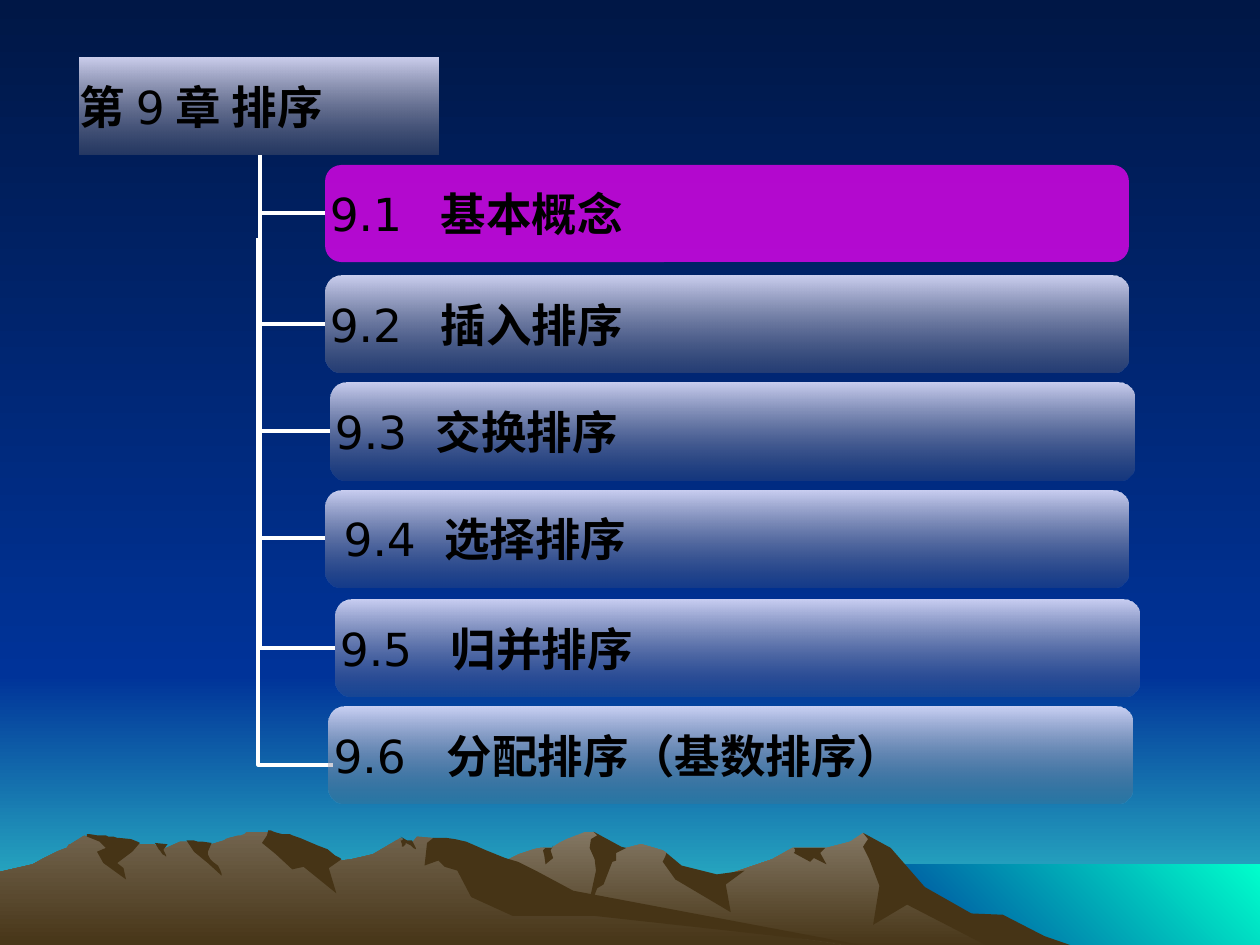
from lxml.etree import SubElement
from pptx import Presentation
from pptx.dml.color import RGBColor
from pptx.enum.shapes import MSO_CONNECTOR as Connector, MSO_SHAPE as Shape
from pptx.enum.text import MSO_ANCHOR as Anchor, MSO_AUTO_SIZE as AutoSize, PP_ALIGN as Align
from pptx.oxml.ns import qn
from pptx.util import Pt

PX = 9144  # EMU per px, 100 px to the inch
TITLE_ONLY = 5

NIGHT, BLUE, TURQUOISE, MINT = "001746", "003399", "33CCCC", "00FFCC"
ROCK, PALE_ROCK, DARK_ROCK = "72644E", "837763", "463416"

FAR_RANGE = """802,741 778,728 763,725 723,699 701,673 685,661 675,668 656,673 629,673 613,682
    566,698 536,691 529,677 526,675 509,670 497,673 485,675 474,662 471,660 465,660 450,666
    448,667 444,669 438,673 432,673 429,673 424,674 418,676 412,678 404,682 399,684 395,686
    394,687 355,699 327,711 277,740 258,753 821,753"""
FAR_SHADOWS = [
    """796,726 771,725 734,704 707,673 685,661 689,666 685,672 690,682 698,703 693,734 720,718
    788,753 858,753 829,743""",
    """471,660 474,663 469,666 468,673 472,682 473,691 465,728 474,705 479,702 486,684 489,683
    489,677 497,673 493,672""",
    "529,677 528,680 526,684 536,698 580,724 576,702 591,691 569,694 541,687",
    "649,673 630,673 631,674 631,676 630,677 643,684 646,681 656,686 651,677 655,673",
    "432,679 431,675 433,673 431,673 433,673 436,673 438,673 439,671 437,675 439,681 433,686",
]
NEAR_RANGE = """690,753 689,753 667,750 432,714 354,666 331,664 327,669 323,669 318,665 296,678
    279,682 271,683 259,678 235,682 223,664 222,663 219,662 215,661 212,660 207,660 202,660
    198,660 196,660 195,661 194,662 191,663 189,663 186,664 182,665 179,666 178,667 168,670
    160,673 148,668 143,668 132,673 127,673 122,670 111,670 94,673 67,663 56,670 55,670
    53,673 50,674 45,676 35,681 26,686 13,689 0,692 0,753 175,753 647,753"""
NEAR_SHADOWS = [
    """212,663 208,669 219,678 232,690 241,688 267,709 261,689 271,682 270,681 266,679 260,674
    252,671 245,668 238,665 232,663 230,662 226,662 224,662 220,661 217,660 215,659 213,659""",
    """370,668 361,666 354,665 344,665 339,669 337,687 348,683 353,688 363,691 374,712 407,727
    472,727 690,751 683,750 455,707 427,692 411,684 401,681 386,675""",
    """318,667 319,667 320,666 319,665 318,664 323,667 327,667 328,669 329,671 330,673 330,674
    328,673 326,671 322,669 322,670 321,671 320,672 319,672 319,670""",
    """154,667 157,668 161,668 168,669 165,676 165,678 166,680 167,682 169,684 173,687 175,691
    176,694 176,695 165,685 154,676 148,667""",
    "133,670 130,674 130,675 131,677 132,679 132,680 131,679 129,678 127,675 126,674 123,669",
    """109,668 111,669 105,676 93,685 98,689 100,698 82,685 77,676 84,673 79,668 69,664 69,662
    70,662 71,662 77,663 82,663 84,663 86,664 90,664 93,665 94,665 104,666""",
]

STRONG, FAINT = (90, 35), (89, 19)  # opacity at the top and bottom of a box
# left, top, opacities (None marks the current section), text inset, tab stop, number, name
SECTIONS = [
    (258, 131, None, 0, 88, "9.1", "基本概念"),
    (258, 219, STRONG, 0, 88, "9.2", "插入排序"),
    (262, 304, FAINT, 0, 80, "9.3", "交换排序"),
    (258, 389, FAINT, 11, 80, "9.4", "选择排序"),
    (266, 476, FAINT, 0, 88, "9.5", "归并排序"),
    (261, 561, FAINT, 0, 90, "9.6", "分配排序（基数排序）"),
]


def rgb(color):
    return RGBColor.from_string(color)


def fill_gradient(fill, start, end, angle=90):
    """Blend two colours; the angle runs clockwise from left-to-right."""
    fill.gradient()
    fill.gradient_angle = 360 - angle
    for stop, color in zip(fill.gradient_stops, (start, end)):
        stop.color.rgb = rgb(color)


def set_opacity(shape, *percentages):
    """Give each fill colour of the shape its opacity, in order."""
    for color, percentage in zip(shape._element.spPr.iter(qn("a:srgbClr")), percentages):
        SubElement(color, qn("a:alpha"), val=str(percentage * 1000))


class SlideBuilder:
    latin_font = "DejaVu Sans"
    chinese_font = "Noto Sans CJK SC"
    text_size = Pt(26)
    text_color = "000000"
    line_color = "FFFFFF"
    line_width = Pt(2.25)

    def __init__(self, slide):
        self.slide = slide
        self.shapes = slide.shapes

    def paint(self, shape, colors, angle=90):
        """Fill with one colour or a pair, without outline or shadow."""
        shape.shadow.inherit = False
        shape.line.fill.background()
        if isinstance(colors, str):
            shape.fill.solid()
            shape.fill.fore_color.rgb = rgb(colors)
        else:
            fill_gradient(shape.fill, *colors, angle)

    def panel(self, left, top, width, height, colors, angle=90, kind=Shape.RECTANGLE):
        box = [length * PX for length in (left, top, width, height)]
        shape = self.shapes.add_shape(kind, *box)
        self.paint(shape, colors, angle)
        return shape

    def outline(self, points, colors):
        first, *rest = [tuple(map(int, point.split(","))) for point in points.split()]
        builder = self.shapes.build_freeform(*first, scale=PX)
        builder.add_line_segments(rest, close=True)
        self.paint(builder.convert_to_shape(), colors)

    def branch(self, left, top, right, bottom):
        """Draw an L: down the left edge, then along the bottom."""
        ends = [length * PX for length in (left, top, right, bottom)]
        connector = self.shapes.add_connector(Connector.ELBOW, *ends)
        connector.line.color.rgb = rgb(self.line_color)
        connector.line.width = self.line_width
        properties = connector._element.spPr
        properties.find(qn("a:prstGeom")).set("prst", "bentConnector2")
        properties.find(qn("a:xfrm")).set("rot", "10800000")
        SubElement(properties, qn("a:effectLst"))

    def set_text(self, shape, runs, inset=0, tab=None):
        """Set (text, is_chinese) runs; Chinese is bold."""
        frame = shape.text_frame
        frame.auto_size = AutoSize.NONE
        frame.word_wrap = True
        frame.vertical_anchor = Anchor.MIDDLE
        frame.margin_left = inset * PX
        frame.margin_top = frame.margin_right = frame.margin_bottom = 0
        paragraph = frame.paragraphs[0]
        paragraph.alignment = Align.LEFT
        if tab:
            tabs = SubElement(paragraph._p.get_or_add_pPr(), qn("a:tabLst"))
            SubElement(tabs, qn("a:tab"), pos=str(tab * PX), algn="l")
        for text, is_chinese in runs:
            run = paragraph.add_run()
            run.text = text
            font = run.font
            font.size, font.bold = self.text_size, is_chinese
            font.color.rgb = rgb(self.text_color)
            font.name = self.chinese_font if is_chinese else self.latin_font
            SubElement(run._r.get_or_add_rPr(), qn("a:ea"), typeface=self.chinese_font)

    def title(self, left, top, width, height, runs):
        shape = self.shapes.title
        self.shapes._spTree.append(shape._element)  # in front of the landscape
        shape.left, shape.top = left * PX, top * PX
        shape.width, shape.height = width * PX, height * PX
        geometry = SubElement(shape._element.spPr, qn("a:prstGeom"), prst="roundRect")
        SubElement(geometry, qn("a:avLst"))
        self.paint(shape, ("E3E3FF", "686875"))
        set_opacity(shape, *STRONG)
        self.set_text(shape, runs)

    def section(self, left, top, opacities, inset, tab, number, name):
        colors = ("E3E3FF", "686875") if opacities else "FF00FF"
        shape = self.panel(left, top, 638, 77, colors, kind=Shape.ROUNDED_RECTANGLE)
        set_opacity(shape, *(opacities or (70,)))
        self.set_text(shape, [(number + "\t", False), (name, True)], inset, tab)

    def landscape(self):
        fill_gradient(self.slide.background.fill, NIGHT, BLUE)
        self.panel(0, 536, 1000, 214, (BLUE, TURQUOISE))
        self.panel(0, 2, 1000, 534, (NIGHT, BLUE))
        self.panel(683, 686, 317, 66, (MINT, BLUE), angle=135)
        ranges = [(FAR_RANGE, PALE_ROCK, FAR_SHADOWS), (NEAR_RANGE, ROCK, NEAR_SHADOWS)]
        for mountains, color, shadows in ranges:
            self.outline(mountains, (color, DARK_ROCK))
            for shadow in shadows:
                self.outline(shadow, DARK_ROCK)


def main():
    presentation = Presentation()
    presentation.slide_width, presentation.slide_height = 1000 * PX, 750 * PX
    slide = presentation.slides.add_slide(presentation.slide_layouts[TITLE_ONLY])
    builder = SlideBuilder(slide)
    builder.landscape()
    for left, top, *_ in reversed(SECTIONS[:-1]):
        builder.branch(206, 123, left, top + 38)
    builder.title(63, 46, 285, 77, [("第", True), ("9", False), ("章 排序", True)])
    for section in SECTIONS[:-1]:
        builder.section(*section)
    builder.branch(205, 189, 264, 607)
    builder.section(*SECTIONS[-1])
    presentation.save("out.pptx")


if __name__ == "__main__":
    main()
